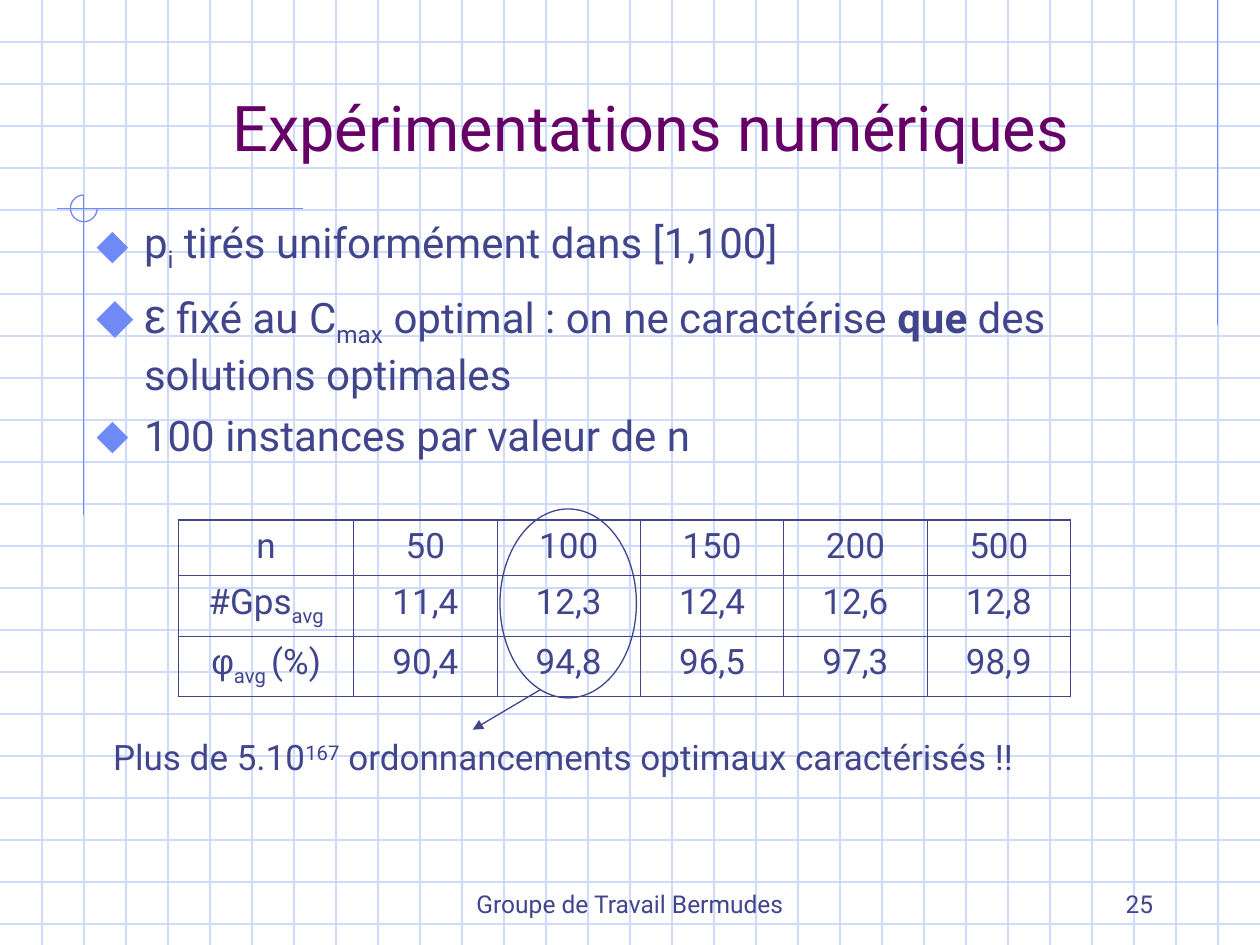
from lxml.etree import SubElement
from pptx import Presentation
from pptx.dml.color import RGBColor
from pptx.enum.shapes import MSO_CONNECTOR as Link, MSO_SHAPE as Preset
from pptx.enum.text import MSO_ANCHOR as Anchor, MSO_AUTO_SIZE as AutoSize, PP_ALIGN as Align
from pptx.oxml.ns import qn
from pptx.util import Cm, Pt

COLORS = {"grid": "CFDBFD", "accent": "6F89F7", "title": "660066", "text": "40458C"}
WIDTH, HEIGHT = 25.4, 19.05
SUB, SUPER = -25000, 30000


def color(name):
    return RGBColor.from_string(COLORS[name])


def place(shape, box):
    shape.left, shape.top, shape.width, shape.height = (Cm(side) for side in box)


def add_runs(para, spans, size, tint="text"):
    """Each span is a text, or a text with its differing settings."""
    for item in spans:
        text, extra = (item, {}) if isinstance(item, str) else item
        span = para.add_run()
        span.text = text
        font = span.font
        font.size = Pt(extra.get("size", size))
        font.name = extra.get("font", "Roboto")
        font.color.rgb = color(tint)
        if "bold" in extra:
            font.bold = extra["bold"]
        if "shift" in extra:
            font._element.set("baseline", str(extra["shift"]))


def add_line(shapes, x1, y1, x2, y2, tint):
    line = shapes.add_connector(Link.STRAIGHT, Cm(x1), Cm(y1), Cm(x2), Cm(y2))
    line.line.color.rgb = color(tint)
    line.line.width = Pt(0.75)
    SubElement(line.element.spPr, qn("a:effectLst"))
    return line


def add_outline(shapes, preset, box, tint):
    shape = shapes.add_shape(preset, *(Cm(side) for side in box))
    shape.shadow.inherit = False
    shape.fill.background()
    shape.line.color.rgb = color(tint)
    shape.line.width = Pt(0.75)
    return shape


def add_label(page, box, spans, size, align=Align.LEFT, anchor=Anchor.TOP):
    label = page.shapes.add_textbox(*(Cm(side) for side in box))
    frame = label.text_frame
    frame.word_wrap = True
    frame.vertical_anchor = anchor
    para = frame.paragraphs[0]
    para.alignment = align
    add_runs(para, spans, size)


def add_backdrop(page, box):
    """Squared paper with the corner ornaments, behind everything else."""
    left, top, width, height = box
    group = page.shapes.add_group_shape()
    shapes = group.shapes
    step = width / 30
    for row in range(1, int(height / step) + 1):
        add_line(shapes, left, top + row * step, left + width, top + row * step, "grid")
    for column in range(1, 30):
        add_line(shapes, left + column * step, top, left + column * step, top + height, "grid")

    # Ornaments
    add_line(shapes, left + 24.55, top, left + 24.55, top + 6.55, "accent")
    add_line(shapes, left + 6.1, top + 4.2, left + 1.15, top + 4.2, "accent")
    add_line(shapes, left + 1.69, top + 3.93, left + 1.69, top + 10.39, "accent")
    arc = add_outline(shapes, Preset.ARC, (left + 1.42, top + 3.93, 0.54, 0.54), "accent")
    arc.adjustments[0] = 0
    arc.adjustments[1] = 162  # 270 degrees
    page.shapes.element.insert(2, group.element)


def add_title(page, box):
    title = page.shapes.title
    place(title, box)
    frame = title.text_frame
    frame.auto_size = AutoSize.NONE
    frame.vertical_anchor = Anchor.MIDDLE
    para = frame.paragraphs[0]
    para.alignment = Align.CENTER
    add_runs(para, ["Expérimentations numériques"], 36, "title")


def set_bullet(para):
    props = para._p.get_or_add_pPr()
    props.set("marL", str(Cm(0.96)))
    props.set("indent", str(Cm(-0.96)))
    tint = SubElement(props, qn("a:buClr"))
    SubElement(tint, qn("a:srgbClr"), val=COLORS["accent"])
    SubElement(props, qn("a:buSzPct"), val="110000")
    SubElement(props, qn("a:buChar"), char="⬥")


def add_list(page, box):
    items = [
        ["p", ("i", {"shift": SUB}), " tirés uniformément dans [1,100]"],
        [("ε", {"size": 28, "font": "Arial"}), " fixé au C", ("max", {"shift": SUB}),
         " optimal : on ne caractérise ", ("que", {"bold": True}), " des solutions optimales"],
        ["100 instances par valeur de n"],
    ]
    body = page.placeholders[1]
    place(body, box)
    frame = body.text_frame
    frame.auto_size = AutoSize.NONE
    for index, spans in enumerate(items):
        para = frame.add_paragraph() if index else frame.paragraphs[0]
        para.space_before = Pt(6 if index else 0)
        set_bullet(para)
        add_runs(para, spans, 24)


def set_borders(cell, widths):
    props = cell._tc.get_or_add_tcPr()
    for side, width in zip(("lnL", "lnR", "lnT", "lnB"), widths):
        line = SubElement(props, qn("a:" + side), w=str(Pt(width)))
        fill = SubElement(line, qn("a:solidFill"))
        SubElement(fill, qn("a:srgbClr"), val=COLORS["text"])


def add_results(page, box):
    rows = [
        [["n"], "50", "100", "150", "200", "500"],
        [["#Gps", ("avg", {"shift": SUB})], "11,4", "12,3", "12,4", "12,6", "12,8"],
        [[("φ", {"font": "Arial"}), ("avg ", {"shift": SUB}), "(%)"],
         "90,4", "94,8", "96,5", "97,3", "98,9"],
    ]
    thick, thin = 1.08, 0.45
    last_row, last_column = len(rows) - 1, len(rows[0]) - 1
    table = page.shapes.add_table(len(rows), len(rows[0]), *(Cm(side) for side in box)).table
    table.first_row = table.horz_banding = False
    for index, column in enumerate(table.columns):
        column.width = Cm(2.89 if index else 3.53)
    for index, row in enumerate(table.rows):
        row.height = Cm(1.22 if index else 1.12)
    for r, values in enumerate(rows):
        for c, value in enumerate(values):
            cell = table.cell(r, c)
            set_borders(cell, (
                thick if c == 0 else thin,
                thick if c == last_column else thin,
                thick if r <= 1 else thin,
                thick if r in (0, last_row) else thin,
            ))
            cell.fill.background()
            para = cell.text_frame.paragraphs[0]
            para.alignment = Align.CENTER
            add_runs(para, [value] if isinstance(value, str) else value, 20)


def add_remark(page, box):
    """Circled column, arrow and the remark it leads to."""
    left, top, width, height = box
    add_outline(page.shapes, Preset.OVAL, (left + 8.05, top, 2.75, 3.81), "text")
    arrow = add_line(page.shapes, left + 8.87, top + 3.64, left + 7.5, top + 4.45, "text")
    SubElement(arrow.line._get_or_add_ln(), qn("a:tailEnd"), type="triangle")
    spans = ["Plus de 5.10", ("167", {"shift": SUPER}),
             " ordonnancements optimaux caractérisés !!"]
    add_label(page, (left, top + 4.45, width, height - 4.45), spans, 20)


def add_footer(page, box):
    left, top, width, height = box
    add_label(page, (left, top, 8.04, height), ["Groupe de Travail Bermudes"], 14,
              Align.CENTER, Anchor.BOTTOM)
    add_label(page, (left + width - 5.29, top, 5.29, height), ["25"], 14,
              Align.RIGHT, Anchor.BOTTOM)


def main():
    deck = Presentation()
    deck.slide_width, deck.slide_height = Cm(WIDTH), Cm(HEIGHT)
    page = deck.slides.add_slide(deck.slide_layouts[1])
    add_backdrop(page, (0, 0, WIDTH, HEIGHT))
    add_title(page, (1.69, 0.85, 22.86, 3.39))
    add_list(page, (1.69, 4.23, 22.86, 12.49))
    add_results(page, (3.6, 10.48, 17.98, 3.56))
    add_remark(page, (2.03, 10.26, 19.56, 5.57))
    add_footer(page, (8.68, 17.36, 14.82, 1.27))
    deck.save("out.pptx")


if __name__ == "__main__":
    main()
